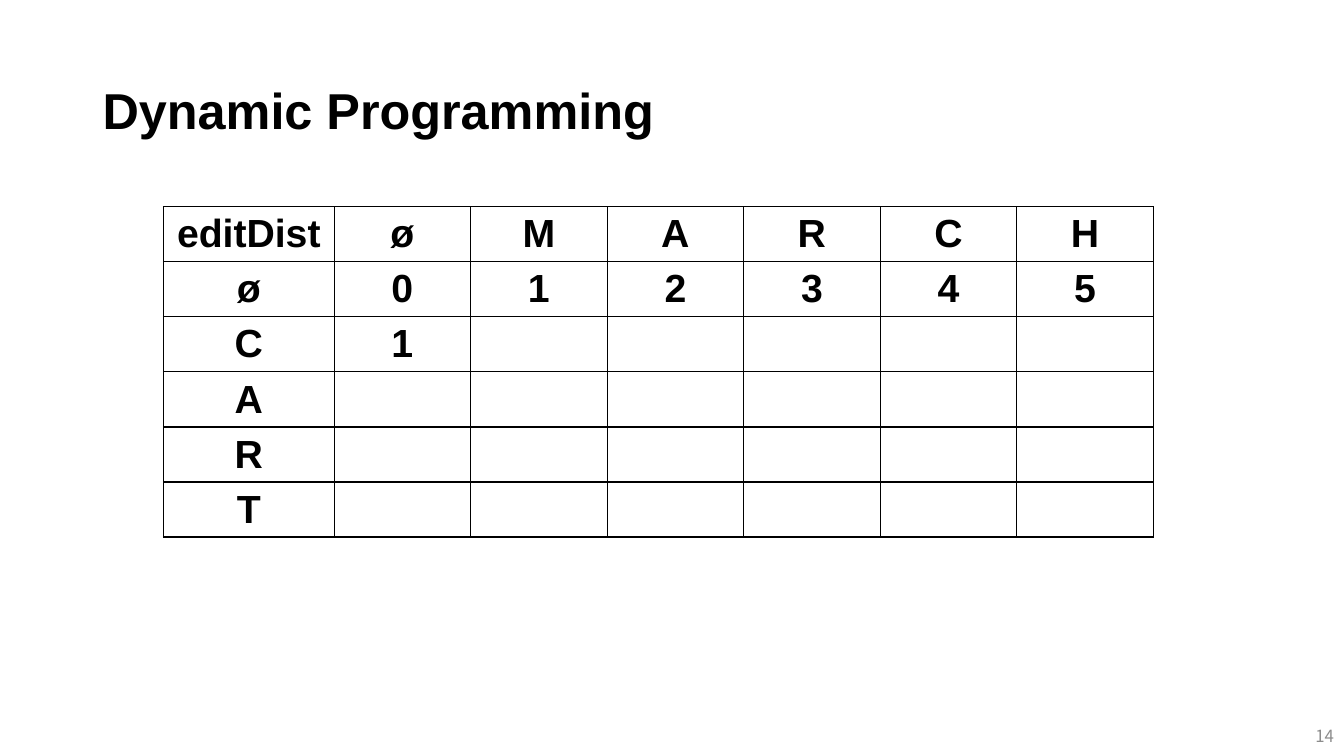
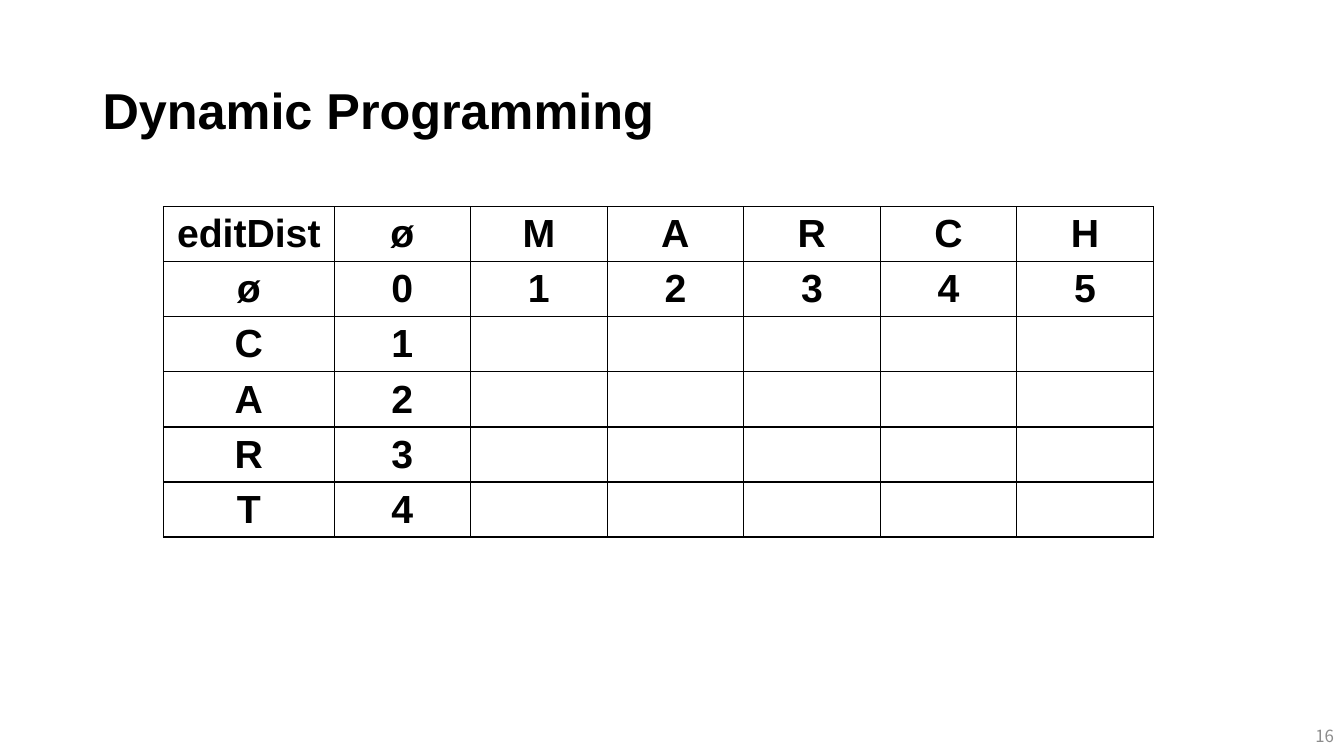
import pptx
import pptx.dml.color
import pptx.enum.text
import pptx.oxml.ns
import pptx.util
from lxml import etree

Cm = pptx.util.Cm
Pt = pptx.util.Pt
ALIGN = pptx.enum.text.PP_ALIGN
MIDDLE = pptx.enum.text.MSO_ANCHOR.MIDDLE


def rgb(value):
    return pptx.dml.color.RGBColor.from_string(value)


class Deck:
    ink = "000000"
    page_gray = "8C8C8C"
    text_font = "Arial"
    page_font = "Noto Sans CJK KR"

    def __init__(self):
        self.prs = pptx.Presentation()
        self.prs.slide_width = Cm(33.87)
        self.prs.slide_height = Cm(19.05)
        self.slide = None

    def add_slide(self, title, page):
        self.slide = self.prs.slides.add_slide(self.prs.slide_layouts[5])
        self.title(title)
        self.page_number(page)

    def style(self, p, size, font, color, bold, align):
        p.alignment = align
        for r in p.runs:
            r.font.size = Pt(size)
            r.font.name = font
            r.font.bold = bold
            r.font.color.rgb = rgb(color)

    def title(self, text):
        sp = self.slide.shapes.title
        sp.left, sp.top, sp.width, sp.height = Cm(2.33), Cm(1.01), Cm(29.21), Cm(3.68)
        tf = sp.text_frame
        tf.text = text
        tf.auto_size = pptx.enum.text.MSO_AUTO_SIZE.NONE
        tf.vertical_anchor = MIDDLE
        p = tf.paragraphs[0]
        p.line_spacing = 0.9
        self.style(p, 36, self.text_font, self.ink, True, ALIGN.LEFT)

    def page_number(self, page):
        sp = self.slide.shapes.add_textbox(Cm(26.25), Cm(18.03), Cm(7.62), Cm(1.02))
        tf = sp.text_frame
        tf.word_wrap = True
        tf.vertical_anchor = MIDDLE
        tf.text = str(page)
        self.style(tf.paragraphs[0], 12, self.page_font, self.page_gray, False, ALIGN.RIGHT)

    def cell_borders(self, cell):
        tc_pr = cell._tc.get_or_add_tcPr()
        qn = pptx.oxml.ns.qn
        for side in ("lnL", "lnR", "lnT", "lnB"):
            ln = etree.SubElement(tc_pr, qn("a:" + side), w=str(Pt(1)))
            fill = etree.SubElement(ln, qn("a:solidFill"))
            etree.SubElement(fill, qn("a:srgbClr"), val=self.ink)

    def table(self, rows, left, top, col_widths, row_height):
        frame = self.slide.shapes.add_table(
            len(rows), len(col_widths), left, top, sum(col_widths), row_height * len(rows))
        table = frame.table
        table.first_row = table.horz_banding = False
        for column, width in zip(table.columns, col_widths):
            column.width = width
        for i, row in enumerate(rows):
            table.rows[i].height = row_height
            for j, text in enumerate(row):
                cell = table.cell(i, j)
                self.cell_borders(cell)
                cell.fill.background()
                cell.vertical_anchor = MIDDLE
                cell.margin_top = cell.margin_bottom = Cm(0.1)
                cell.text = text
                self.style(cell.text_frame.paragraphs[0], 28, self.text_font,
                           self.ink, True, ALIGN.CENTER)


def distance_rows(source, target, filled):
    """Edit distance grid with the first `filled` source letters scored against ø."""
    rows = [["editDist", "ø", *target],
            ["ø", *(str(n) for n in range(len(target) + 1))]]
    for n, letter in enumerate(source, 1):
        score = str(n) if n <= filled else ""
        rows.append([letter, score] + [""] * len(target))
    return rows


def main():
    deck = Deck()
    for page, filled in ((14, 1), (16, 4)):
        deck.add_slide("Dynamic Programming", page)
        deck.table(distance_rows("CART", "MARCH", filled), Cm(4.12), Cm(5.21),
                   [Cm(4.3)] + [Cm(3.44)] * 6, Cm(1.36))
    deck.prs.save("out.pptx")


if __name__ == "__main__":
    main()
